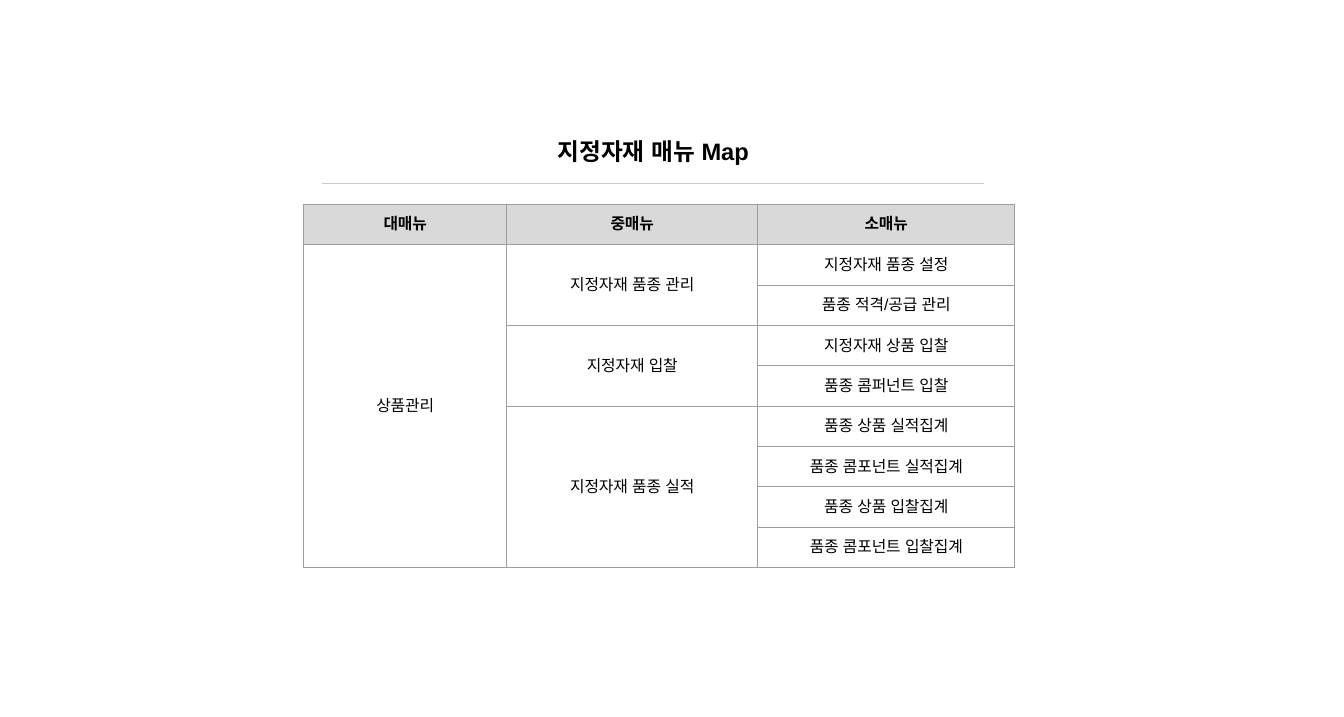
from lxml import etree
from pptx import Presentation
from pptx import util as u
from pptx.dml.color import RGBColor
from pptx.enum import text
from pptx.oxml import ns

PX = 4572  # EMU per px, 200 px to the inch
FONT = "Arial"
BLACK = RGBColor(0x00, 0x00, 0x00)
HEADER_GRAY = RGBColor(0xD9, 0xD9, 0xD9)
BORDER_GRAY = RGBColor(0x9E, 0x9E, 0x9E)
RULE_GRAY = RGBColor(0xCC, 0xCC, 0xCC)

HEADINGS = ["대매뉴", "중매뉴", "소매뉴"]
MAIN_MENU = "상품관리"
SUBMENUS = {
    "지정자재 품종 관리": ["지정자재 품종 설정", "품종 적격/공급 관리"],
    "지정자재 입찰": ["지정자재 상품 입찰", "품종 콤퍼넌트 입찰"],
    "지정자재 품종 실적": [
        "품종 상품 실적집계", "품종 콤포넌트 실적집계",
        "품종 상품 입찰집계", "품종 콤포넌트 입찰집계",
    ],
}
COLUMN_WIDTHS = [356, 442, 451]
ROW_HEIGHT = 71


def px(*lengths):
    return [u.Emu(length * PX) for length in lengths]


def fill_cell(cell, words, size=10, bold=False):
    cell.vertical_anchor = text.MSO_ANCHOR.MIDDLE
    cell.text_frame.text = words
    line = cell.text_frame.paragraphs[0]
    line.alignment = text.PP_ALIGN.CENTER
    for run in line.runs:
        run.font.name = FONT
        run.font.size = u.Pt(size)
        run.font.bold = bold
        run.font.color.rgb = BLACK
        # Hangul and the spaces between words use the same font
        for script in ("a:ea", "a:cs"):
            etree.SubElement(run.font._element, ns.qn(script), typeface=FONT)


def set_borders(cell, color, sides="LRTB"):
    properties = cell._tc.get_or_add_tcPr()
    for side in "LRTB":
        border = etree.SubElement(
            properties, ns.qn(f"a:ln{side}"), w=str(u.Pt(0.75)))
        if side in sides:
            fill = etree.SubElement(border, ns.qn("a:solidFill"))
            etree.SubElement(fill, ns.qn("a:srgbClr"), val=str(color))
        else:
            etree.SubElement(border, ns.qn("a:noFill"))


def add_grid(slide, left, top, widths, row_count, row_height):
    grid = slide.shapes.add_table(
        row_count, len(widths),
        *px(left, top, sum(widths), row_count * row_height)).table
    grid.first_row = grid.horz_banding = False
    for column, width in zip(grid.columns, px(*widths)):
        column.width = width
    for row in grid.rows:
        row.height = u.Emu(row_height * PX)
    return grid


def add_title(slide, words, left, top, width, height):
    title = add_grid(slide, left, top, [width], 1, height).cell(0, 0)
    set_borders(title, RULE_GRAY, sides="B")
    title.fill.background()
    title.margin_top, title.margin_bottom = px(20, 20)
    fill_cell(title, words, size=15, bold=True)


def add_menu_table(slide, left, top):
    row_count = 1 + sum(len(items) for items in SUBMENUS.values())
    menu = add_grid(slide, left, top, COLUMN_WIDTHS, row_count, ROW_HEIGHT)

    # Borders and fills
    for row_index, row in enumerate(menu.rows):
        for cell in row.cells:
            set_borders(cell, BORDER_GRAY)
            if row_index == 0:
                cell.fill.solid()
                cell.fill.fore_color.rgb = HEADER_GRAY
            else:
                cell.fill.background()

    # Header row and main menu
    for column_index, heading in enumerate(HEADINGS):
        fill_cell(menu.cell(0, column_index), heading, bold=True)
    menu.cell(1, 0).merge(menu.cell(row_count - 1, 0))
    fill_cell(menu.cell(1, 0), MAIN_MENU)

    # Each submenu spans the rows of its items
    first = 1
    for submenu, items in SUBMENUS.items():
        menu.cell(first, 1).merge(menu.cell(first + len(items) - 1, 1))
        fill_cell(menu.cell(first, 1), submenu)
        for row_index, item in enumerate(items, first):
            fill_cell(menu.cell(row_index, 2), item)
        first += len(items)


def main():
    deck = Presentation()
    deck.slide_width, deck.slide_height = px(2362, 1260)
    slide = deck.slides.add_slide(deck.slide_layouts.get_by_name("Blank"))
    add_title(slide, "지정자재 매뉴 Map", 566, 212, 1164, 110)
    add_menu_table(slide, 534, 359)
    deck.save("out.pptx")


if __name__ == "__main__":
    main()
